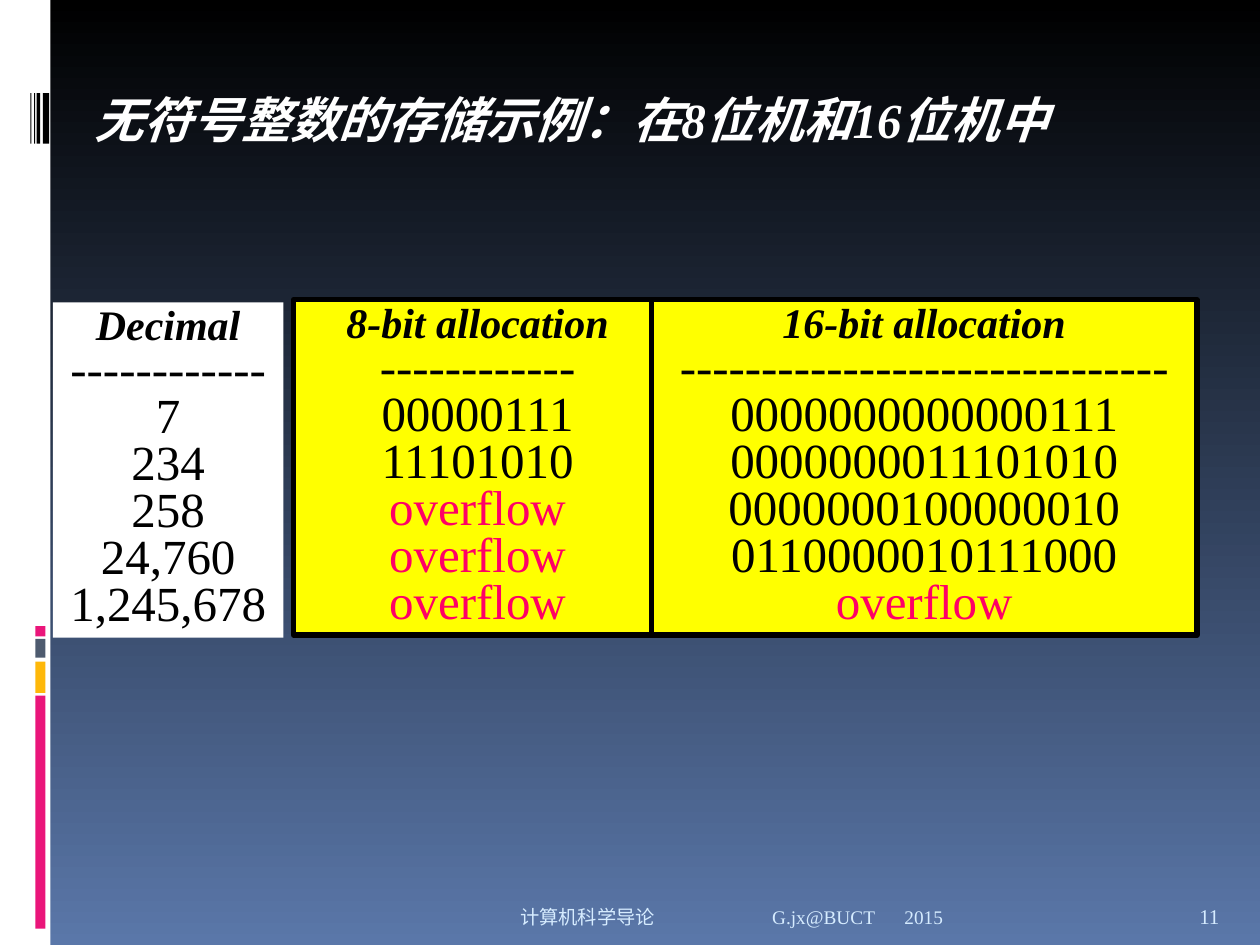
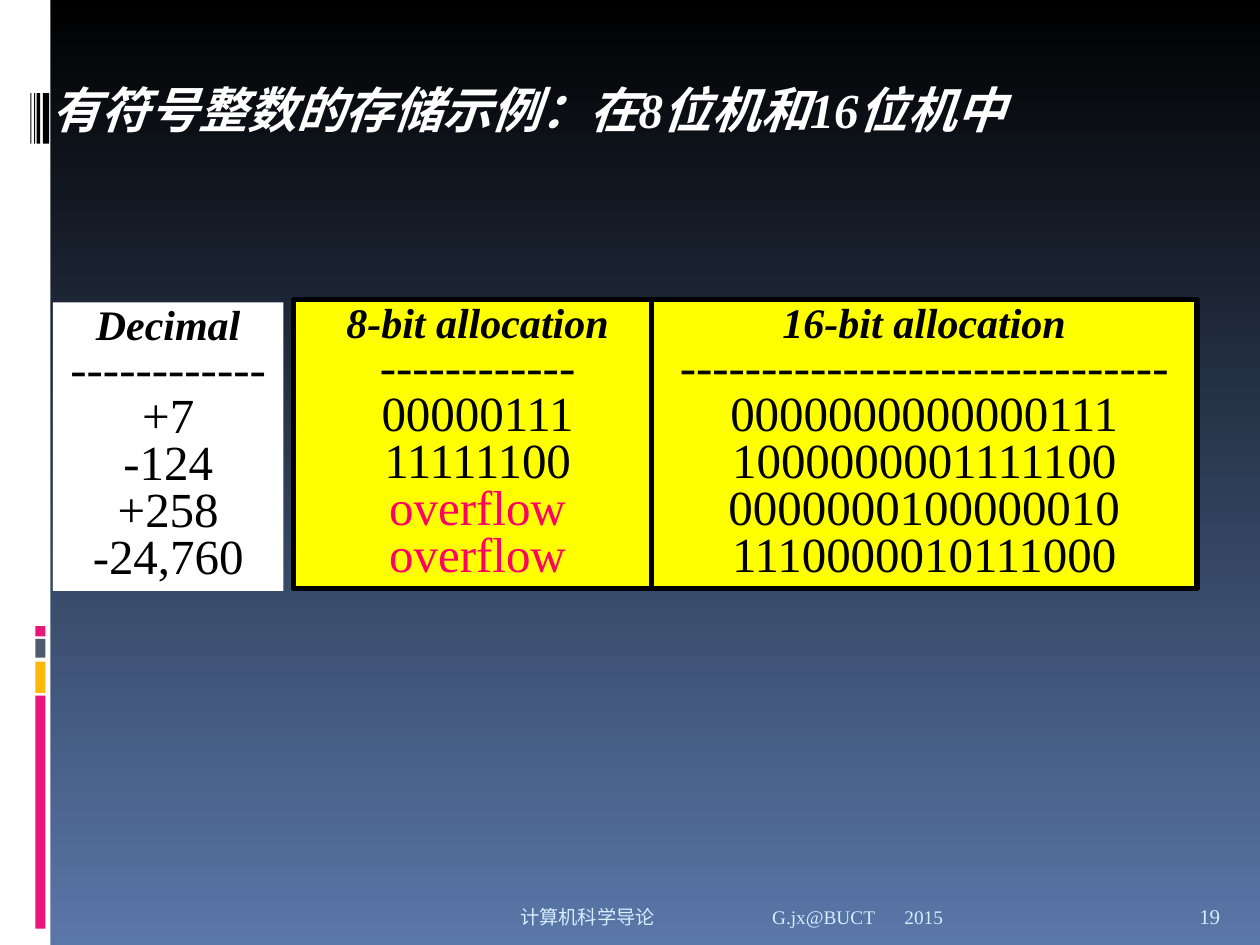
import pptx
import pptx.util
import pptx.dml.color
import pptx.enum.shapes
import pptx.enum.text
import pptx.oxml

Inches = pptx.util.Inches
Pt = pptx.util.Pt
RGB = pptx.dml.color.RGBColor.from_string
ALIGN = pptx.enum.text.PP_ALIGN
ANCHOR = pptx.enum.text.MSO_ANCHOR
FIT = pptx.enum.text.MSO_AUTO_SIZE

# Theme: colours, type sizes and font formats
theme = {
    "sky": ("000000", "5A77A9"),
    "white": "FFFFFF", "black": "000000", "pink": "EA157A", "gold": "FEB80A",
    "slate": "4E5B6F", "pale": "D6ECFF", "yellow": "FFFF00", "alert": "FF0066",
    "title": {"size": Pt(28), "bold": True, "italic": True},
    "head": {"size": Pt(24), "bold": True, "italic": True},
    "body": {"size": Pt(28)},
    "foot": {"size": Pt(11)},
    "page": {"size": Pt(12)},
}

# Side strip and its marks: left, top, width, height, colour
marks = [
    (0, 0, 0.4, 7.5, "white"),
    (0.28, 5.52, 0.08, 1.85, "pink"),
    (0.28, 5.25, 0.08, 0.25, "gold"),
    (0.28, 5.07, 0.08, 0.15, "slate"),
    (0.28, 4.97, 0.08, 0.08, "pink"),
] + [(left, 0.74, width, 0.4, "black")
     for left, width in ((0.34, 0.05), (0.29, 0.03), (0.27, 0.01), (0.24, 0.01))]

# Columns: heading, dash count, left, top, width, fill, outlined
columns = [
    ("Decimal", 12, 0.42, 2.4, 1.83, "white", False),
    ("8-bit allocation", 12, 2.33, 2.38, 2.92, "yellow", True),
    ("16-bit allocation", 30, 5.17, 2.38, 4.33, "yellow", True),
]

pages = [
    {"title": "无符号整数的存储示例：在8位机和16位机中",
     "place": (0.65, 0.66, 8.05, 1.04), "wrap": True, "num": "11",
     "rows": [("7", "00000111", "0000000000000111"),
              ("234", "11101010", "0000000011101010"),
              ("258", "overflow", "0000000100000010"),
              ("24,760", "overflow", "0110000010111000"),
              ("1,245,678", "overflow", "overflow")]},
    {"title": "有符号整数的存储示例：在8位机和16位机中",
     "place": (0.31, 0.58, 8.14, 0.57), "wrap": False, "num": "19",
     "rows": [("+7", "00000111", "0000000000000111"),
              ("-124", "11111100", "1000000001111100"),
              ("+258", "overflow", "0000000100000010"),
              ("-24,760", "overflow", "1110000010111000")]},
]


def block(slide, place, fill):
    """Add a plain filled rectangle."""
    shape = slide.shapes.add_shape(pptx.enum.shapes.MSO_SHAPE.RECTANGLE,
                                   *map(Inches, place))
    shape.shadow.inherit = False
    shape.fill.solid()
    shape.fill.fore_color.rgb = RGB(theme[fill])
    shape.line.fill.background()
    return shape


def write(para, text, style, colour, align=ALIGN.LEFT):
    """Put one formatted run into a paragraph."""
    para.alignment = align
    run = para.add_run()
    run.text = text
    run.font.name = "Times New Roman"
    run.font.color.rgb = RGB(theme[colour])
    for key, value in theme[style].items():
        setattr(run.font, key, value)


deck = pptx.Presentation()
deck.slide_width, deck.slide_height = Inches(10), Inches(7.5)

# Shared background
back = deck.slide_master.background.fill
back.gradient()
back.gradient_angle = 270
for stop, colour, point in zip(back.gradient_stops, theme["sky"], (0, 1)):
    stop.color.rgb = RGB(colour)
    stop.position = point

for page in pages:
    slide = deck.slides.add_slide(deck.slide_layouts[6])

    # Side strip
    for *place, colour in marks:
        block(slide, place, colour)

    # Footer: year, course with a tab stop, page number
    feet = [
        ("2015", 7.08, 2.33, "foot", ALIGN.LEFT),
        ("计算机科学导论\tG.jx@BUCT ", 1, 6.08, "foot", ALIGN.RIGHT),
        (page["num"], 9.42, 0.5, "page", ALIGN.LEFT),
    ]
    for text, left, width, style, align in feet:
        frame = slide.shapes.add_textbox(*map(Inches, (left, 7.02, width, 0.4))).text_frame
        frame.word_wrap = True
        frame.vertical_anchor = ANCHOR.BOTTOM
        para = frame.paragraphs[0]
        if "\t" in text:
            para.alignment = align
            props = para._p.get_or_add_pPr()
            tabs = props.makeelement(pptx.oxml.ns.qn("a:tabLst"), {})
            tabs.append(tabs.makeelement(pptx.oxml.ns.qn("a:tab"),
                                         {"pos": str(Inches(2)), "algn": "l"}))
            props.append(tabs)
        write(para, text, style, "pale", align)

    # Title
    frame = slide.shapes.add_textbox(*map(Inches, page["place"])).text_frame
    frame.word_wrap = page["wrap"]
    frame.auto_size = FIT.SHAPE_TO_FIT_TEXT
    write(frame.paragraphs[0], page["title"], "title", "white")

    # Columns of values, as tall as their rows
    tall = 0.81 + 0.37 * len(page["rows"])
    for spec_row, cells in zip(columns, zip(*page["rows"])):
        head, dashes, left, top, width, fill, lined = spec_row
        box = block(slide, (left, top, width, tall), fill)
        if lined:
            box.line.color.rgb = RGB(theme["black"])
            box.line.width = Pt(3)
        frame = box.text_frame
        frame.word_wrap = True
        frame.vertical_anchor = ANCHOR.TOP
        frame.auto_size = FIT.SHAPE_TO_FIT_TEXT
        for i, text in enumerate((head, "-" * dashes) + cells):
            para = frame.add_paragraph() if i else frame.paragraphs[0]
            para.line_spacing = 0.8
            write(para, text, "body" if i else "head",
                  "alert" if text == "overflow" else "black", ALIGN.CENTER)

deck.save("out.pptx")
